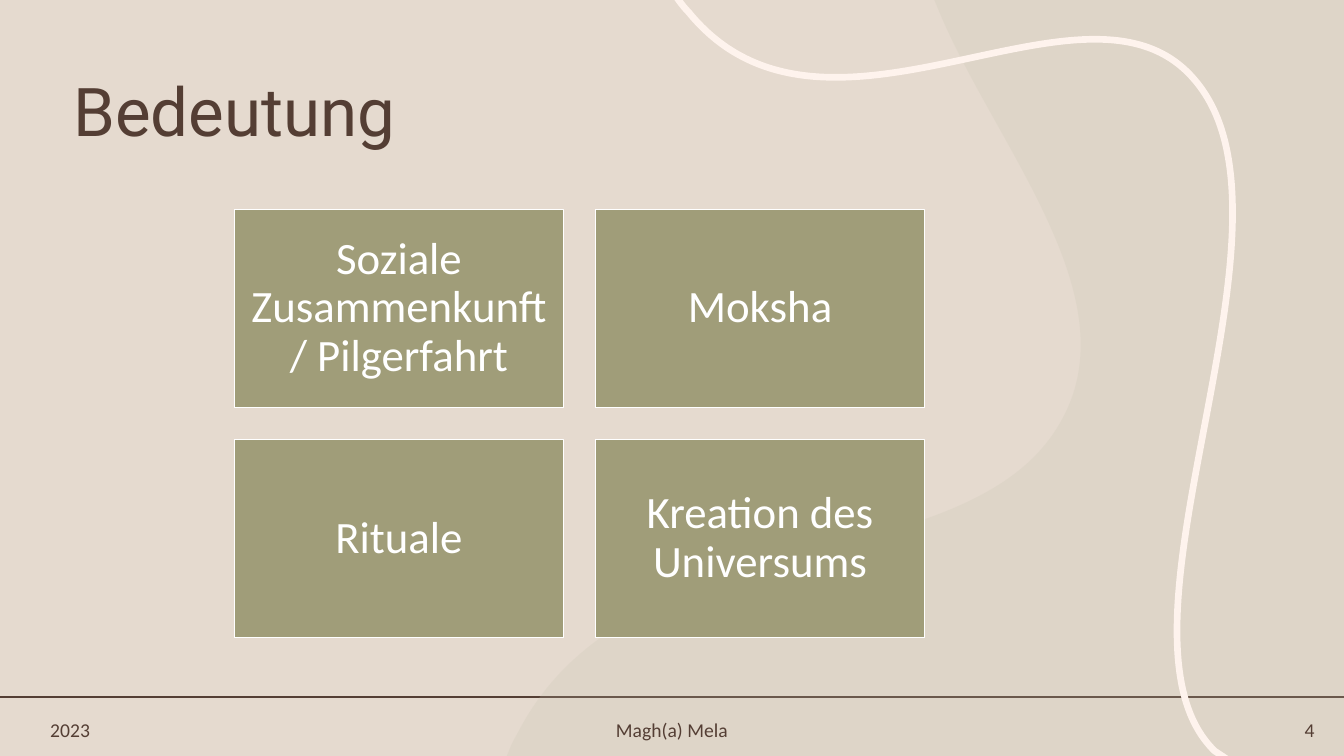
from lxml import etree
from pptx import Presentation
from pptx import util as u
from pptx.dml.color import RGBColor
from pptx.enum import shapes, text
from pptx.oxml.ns import qn

SAND = RGBColor(0xE5, 0xDA, 0xCF)
SAGE = RGBColor(0xC6, 0xC4, 0xAF)
OLIVE = RGBColor(0xA0, 0x9D, 0x79)
CREAM = RGBColor(0xFE, 0xF3, 0xED)
BROWN = RGBColor(0x54, 0x3E, 0x34)
WHITE = RGBColor(0xFF, 0xFF, 0xFF)

WIDTH, HEIGHT = 960, 540

# Each outline is a start point, then straight (1 point) or Bézier (3 points) steps.
BLOB = [
    [(667.4, 0)], [(WIDTH, 0)], [(WIDTH, HEIGHT)], [(362, HEIGHT)], [(365, 532.8)],
    [(368, 526.3), (370.8, 522), (372.2, 519.1)],
    [(454.3, 368.6), (692.6, 416.2), (757.4, 301.7)],
    [(808.6, 213.1), (711.4, 105.1), (671, 8.6)],
]
RIBBON = [
    [(876.2, 542.2)], [(874.1, 540.7)], [(867.6, 536.4)],
    [(780.5, 451.4), (941, 158.4), (853.2, 56.9)],
    [(776.2, -33.8), (590.4, 129.6), (491.8, 8.6)],
    [(489.6, 6.5), (486.7, 2.9), (483.1, -2.2)],
]
MEANINGS = ["Soziale Zusammenkunft/ Pilgerfahrt", "Moksha", "Rituale",
            "Kreation des Universums"]


def add_outline(slide, outline, close):
    """Join the end points by straight lines, then bend those that are Bézier steps."""
    start, *ends = [(u.Pt(step[-1][0]), u.Pt(step[-1][1])) for step in outline]
    builder = slide.shapes.build_freeform(*start)
    builder.add_line_segments(ends, close=close)
    shape = builder.convert_to_shape()
    shape.shadow.inherit = False
    segments = list(shape.element.iter(qn("a:lnTo")))
    for segment, step in zip(segments, outline[1:]):
        if len(step) == 3:
            segment.tag = qn("a:cubicBezTo")
            for index, (x, y) in enumerate(step[:2]):
                control = etree.Element(qn("a:pt"), x=str(u.Pt(x) - shape.left),
                                        y=str(u.Pt(y) - shape.top))
                segment.insert(index, control)
    return shape


def write(shape, wording, size, color, font="Calibri",
          alignment=text.PP_ALIGN.LEFT, spacing=1.0):
    frame = shape.text_frame
    frame.word_wrap = True
    frame.vertical_anchor = text.MSO_ANCHOR.MIDDLE
    paragraph = frame.paragraphs[0]
    paragraph.alignment = alignment
    paragraph.line_spacing = spacing
    run = paragraph.add_run()
    run.text = wording
    run.font.size = u.Pt(size)
    run.font.name = font
    run.font.color.rgb = color


def add_label(slide, box, wording, size, **style):
    label = slide.shapes.add_textbox(*map(u.Pt, box))
    write(label, wording, size, BROWN, **style)


def add_backdrop(slide, rule_top):
    slide.background.fill.solid()
    slide.background.fill.fore_color.rgb = SAND

    rule = slide.shapes.add_connector(shapes.MSO_CONNECTOR.STRAIGHT, u.Pt(0),
                                      u.Pt(rule_top), u.Pt(WIDTH), u.Pt(rule_top))
    rule.line.color.rgb = BROWN
    rule.line.width = u.Pt(1.25)
    etree.SubElement(rule.element.spPr, qn("a:effectLst"))

    blob = add_outline(slide, BLOB, close=True)
    blob.fill.solid()
    blob.fill.fore_color.rgb = SAGE
    blob.line.fill.background()
    color = blob.element.spPr.find(qn("a:solidFill")).find(qn("a:srgbClr"))
    etree.SubElement(color, qn("a:alpha"), val="20000")

    ribbon = add_outline(slide, RIBBON, close=False)
    ribbon.fill.background()
    ribbon.line.color.rgb = CREAM
    ribbon.line.width = u.Pt(4.75)


def add_footer(slide, left, top, width, height):
    side, middle = 77.8, 270.7
    add_label(slide, (left, top, side, height), "2023", 14)
    add_label(slide, ((WIDTH - middle) / 2, top, middle, height),
              "Magh(a) Mela", 14, alignment=text.PP_ALIGN.CENTER)
    add_label(slide, (left + width - side, top, side, height), "4", 14,
              alignment=text.PP_ALIGN.RIGHT)


def add_meaning_grid(slide, left, top, width, height, gap=23.2):
    tile_width, tile_height = (width - gap) / 2, (height - gap) / 2
    for index, meaning in enumerate(MEANINGS):
        row, column = divmod(index, 2)
        tile = slide.shapes.add_shape(
            shapes.MSO_SHAPE.RECTANGLE,
            u.Pt(left + column * (tile_width + gap)),
            u.Pt(top + row * (tile_height + gap)),
            u.Pt(tile_width), u.Pt(tile_height))
        tile.shadow.inherit = False
        tile.fill.solid()
        tile.fill.fore_color.rgb = OLIVE
        tile.line.color.rgb = WHITE
        tile.line.width = u.Pt(1)
        frame = tile.text_frame
        frame.margin_left = frame.margin_right = u.Pt(9.6)
        frame.margin_top = frame.margin_bottom = u.Pt(9.6)
        write(tile, meaning, 32, WHITE, alignment=text.PP_ALIGN.CENTER, spacing=0.9)


def main():
    presentation = Presentation()
    presentation.slide_width = u.Pt(WIDTH)
    presentation.slide_height = u.Pt(HEIGHT)
    slide = presentation.slides.add_slide(presentation.slide_layouts[6])
    add_backdrop(slide, rule_top=498)
    add_label(slide, (45.4, 55.4, 828, 53.3), "Bedeutung", 48, font="Roboto", spacing=0.9)
    add_footer(slide, 28.8, 509, 917.3, 24.5)
    add_meaning_grid(slide, 167.7, 149.8, 492.6, 305.4)
    presentation.save("out.pptx")


if __name__ == "__main__":
    main()
